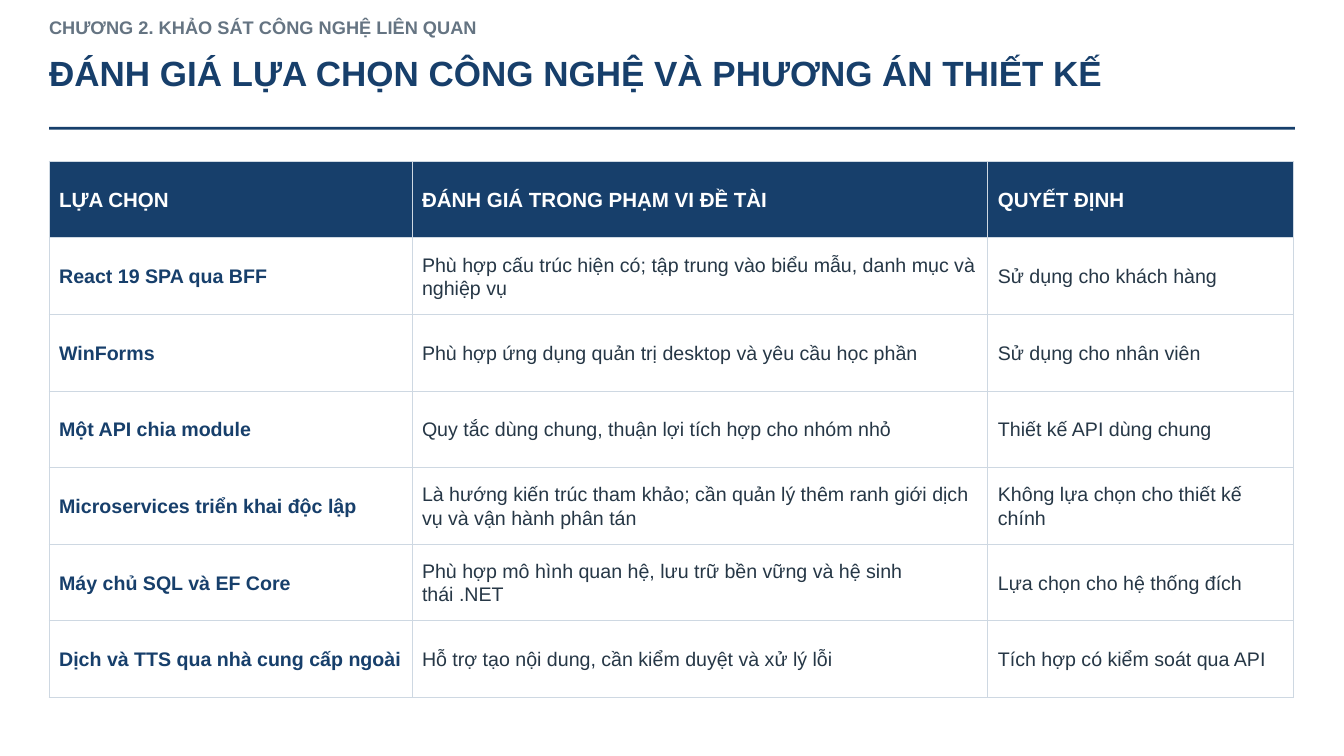
from dataclasses import dataclass

from lxml.etree import SubElement
from pptx import Presentation
from pptx.dml.color import RGBColor
from pptx.enum.shapes import MSO_SHAPE
from pptx.enum.text import MSO_ANCHOR, MSO_AUTO_SIZE, PP_ALIGN
from pptx.oxml.ns import qn
from pptx.util import Inches, Pt


@dataclass(frozen=True)
class Theme:
    """Colours, font and type sizes of the slide."""
    font: str = "Arial"
    navy: str = "173F6B"
    grey: str = "657482"
    ink: str = "263746"
    white: str = "FFFFFF"
    rule: str = "CED8E2"
    kicker: float = 19.5
    title: float = 37.5
    head: float = 22
    body: float = 21


THEME = Theme()
LEFT = 0.73
WIDTH = 18.54
COLS = (5.4, 8.57, 4.54)
ROW = 1.14
PAD = 0.15
HEADS = ("LỰA CHỌN", "ĐÁNH GIÁ TRONG PHẠM VI ĐỀ TÀI", "QUYẾT ĐỊNH")
ROWS = (
    ("React 19 SPA qua BFF",
     "Phù hợp cấu trúc hiện có; tập trung vào biểu mẫu, danh mục và nghiệp vụ",
     "Sử dụng cho khách hàng"),
    ("WinForms",
     "Phù hợp ứng dụng quản trị desktop và yêu cầu học phần",
     "Sử dụng cho nhân viên"),
    ("Một API chia module",
     "Quy tắc dùng chung, thuận lợi tích hợp cho nhóm nhỏ",
     "Thiết kế API dùng chung"),
    ("Microservices triển khai độc lập",
     "Là hướng kiến trúc tham khảo; cần quản lý thêm ranh giới dịch vụ và vận hành phân tán",
     "Không lựa chọn cho thiết kế chính"),
    ("Máy chủ SQL và EF Core",
     "Phù hợp mô hình quan hệ, lưu trữ bền vững và hệ sinh thái .NET",
     "Lựa chọn cho hệ thống đích"),
    ("Dịch và TTS qua nhà cung cấp ngoài",
     "Hỗ trợ tạo nội dung, cần kiểm duyệt và xử lý lỗi",
     "Tích hợp có kiểm soát qua API"),
)


def color(code):
    """Turn a hex code into a colour."""
    return RGBColor.from_string(code)


def write(frame, text, size, ink, lead, bold=True):
    """Put one styled paragraph in a text frame."""
    frame.word_wrap = True
    para = frame.paragraphs[0]
    para.text = text
    para.alignment = PP_ALIGN.LEFT
    para.line_spacing = Pt(lead)
    font = para.font
    font.name = THEME.font
    font.size = Pt(size)
    font.bold = bold
    font.color.rgb = color(ink)


def trim(frame):
    """Set a frame to the top with no margins or fitting."""
    frame.auto_size = MSO_AUTO_SIZE.NONE
    frame.vertical_anchor = MSO_ANCHOR.TOP
    frame.margin_left = frame.margin_right = 0
    frame.margin_top = frame.margin_bottom = 0


def add_kicker(slide):
    """Add the chapter line above the title."""
    box = slide.shapes.add_textbox(
        Inches(LEFT), Inches(0.22), Inches(18.33), Inches(0.45))
    trim(box.text_frame)
    write(box.text_frame, "CHƯƠNG 2. KHẢO SÁT CÔNG NGHỆ LIÊN QUAN",
          THEME.kicker, THEME.grey, 24.6)


def add_title(slide):
    """Place and fill the title placeholder."""
    title = slide.shapes.title
    title.left, title.top = Inches(LEFT), Inches(0.74)
    title.width, title.height = Inches(WIDTH), Inches(1.07)
    trim(title.text_frame)
    write(title.text_frame,
          "ĐÁNH GIÁ LỰA CHỌN CÔNG NGHỆ VÀ PHƯƠNG ÁN THIẾT KẾ",
          THEME.title, THEME.navy, 47.2)


def add_bar(slide):
    """Add the thin bar below the title."""
    bar = slide.shapes.add_shape(
        MSO_SHAPE.RECTANGLE, Inches(LEFT), Inches(1.89),
        Inches(WIDTH), Inches(0.04))
    bar.shadow.inherit = False
    bar.fill.solid()
    bar.fill.fore_color.rgb = color(THEME.navy)
    bar.line.fill.background()


def frame_cell(cell):
    """Draw thin lines on all four sides of a cell."""
    props = cell._tc.get_or_add_tcPr()
    for side in ("L", "R", "T", "B"):
        line = SubElement(props, qn(f"a:ln{side}"), w=str(Pt(0.9)))
        fill = SubElement(line, qn("a:solidFill"))
        SubElement(fill, qn("a:srgbClr"), val=THEME.rule)


def fill_cell(cell, text, head, first):
    """Style a cell as heading, row label or plain text."""
    frame_cell(cell)
    cell.fill.solid()
    cell.fill.fore_color.rgb = color(THEME.navy if head else THEME.white)
    cell.vertical_anchor = MSO_ANCHOR.MIDDLE
    cell.margin_left = cell.margin_right = Inches(PAD)
    cell.margin_top = cell.margin_bottom = Inches(PAD)
    size = THEME.head if head else THEME.body
    ink = THEME.white if head else THEME.navy if first else THEME.ink
    write(cell.text_frame, text, size, ink, size * 1.2, head or first)


def add_grid(slide):
    """Add the table of choices."""
    data = (HEADS, *ROWS)
    table = slide.shapes.add_table(
        len(data), len(COLS), Inches(LEFT), Inches(2.4),
        Inches(sum(COLS)), Inches(ROW * len(data))).table
    for col, width in zip(table.columns, COLS):
        col.width = Inches(width)
    for i, texts in enumerate(data):
        table.rows[i].height = Inches(ROW)
        for j, text in enumerate(texts):
            fill_cell(table.cell(i, j), text, i == 0, j == 0)


def main():
    """Build and save the slide."""
    deck = Presentation()
    deck.slide_width, deck.slide_height = Inches(20), Inches(11.25)
    slide = deck.slides.add_slide(deck.slide_layouts[5])
    slide.background.fill.solid()
    slide.background.fill.fore_color.rgb = color(THEME.white)
    add_kicker(slide)
    add_title(slide)
    add_bar(slide)
    add_grid(slide)
    deck.save("out.pptx")


if __name__ == "__main__":
    main()
